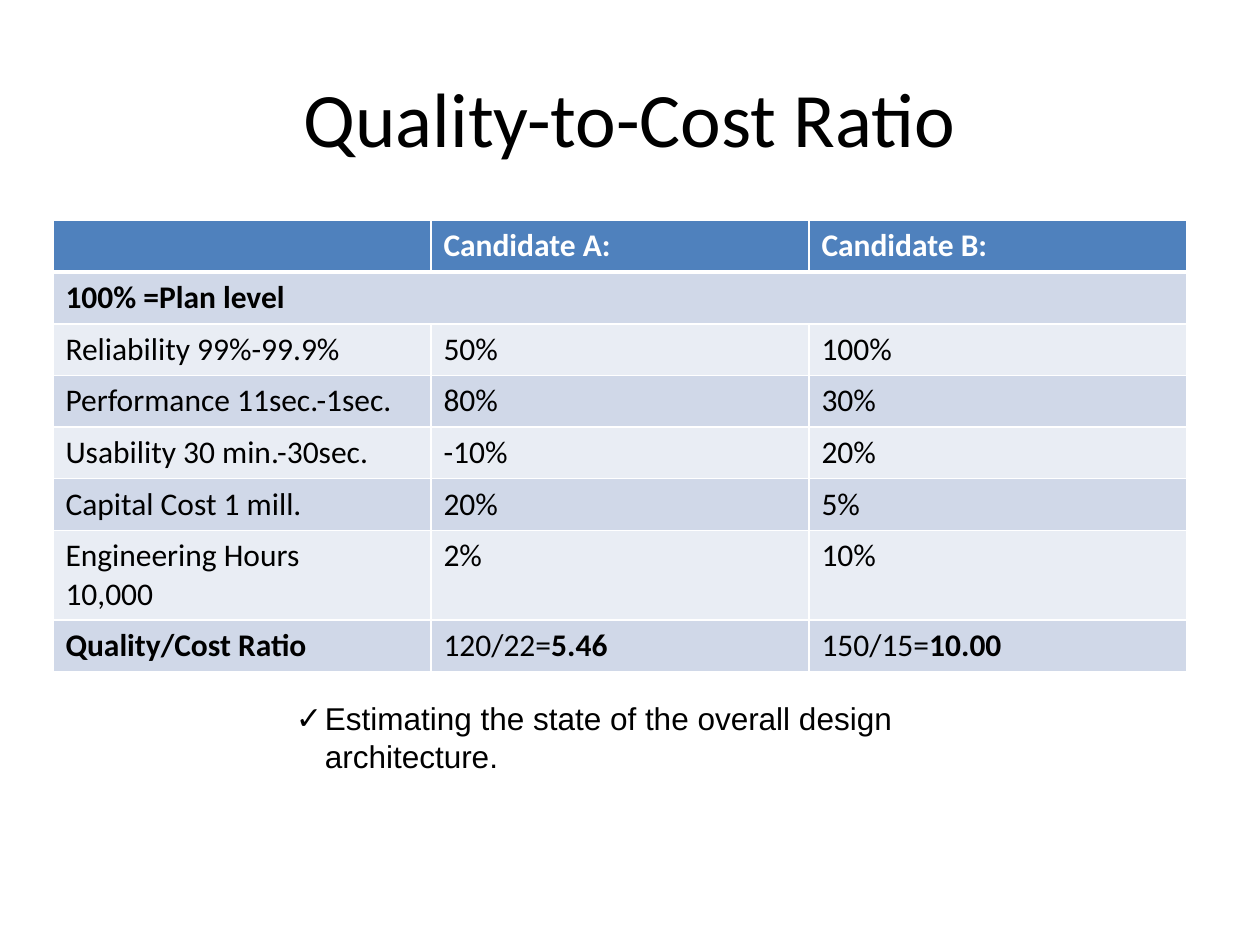
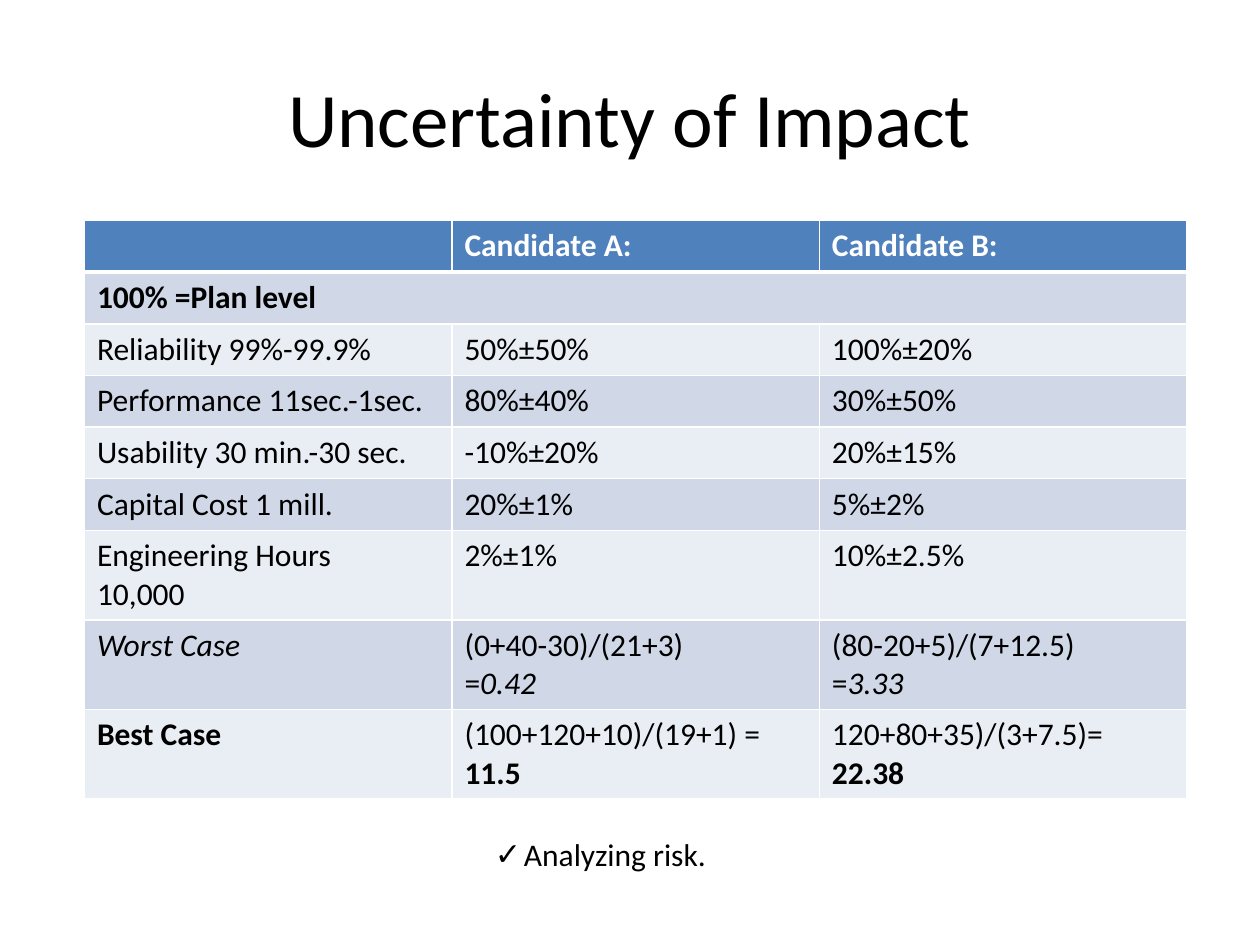
from lxml.etree import SubElement as Sub
from pptx import Presentation as Deck
from pptx.dml.color import RGBColor as RGB
from pptx.enum.text import MSO_ANCHOR as Anchor, MSO_AUTO_SIZE as Auto, PP_ALIGN as Align
from pptx.oxml.ns import qn
from pptx.util import Emu, Inches, Pt

WIDE, HIGH = Inches(10), Inches(7.5)
BLACK = RGB(0, 0, 0)
WHITE = RGB(255, 255, 255)
HEAD = RGB(0x4F, 0x81, 0xBD)
BANDS = RGB(0xE9, 0xED, 0xF4), RGB(0xD0, 0xD8, 0xE8)
FACE, PLAIN = "Calibri", "Arial"
BODY, TITLE = Pt(18), Pt(44)
ROW = Inches(0.41)
HANG = Inches(0.23)
TOP = 1.75 / 7.5
TITLE_BOX = 0.05, 0.04, 0.9, 1 / 6

HEADER = ["", "Candidate A:", "Candidate B:"]
PLAN = ["*100% =Plan level", "", ""]

RATIO = [
    HEADER,
    PLAN,
    ["Reliability 99%-99.9%", "50%", "100%"],
    ["Performance 11sec.-1sec.", "80%", "30%"],
    ["Usability 30 min.-30sec.", "-10%", "20%"],
    ["Capital Cost 1 mill.", "20%", "5%"],
    ["Engineering Hours\n10,000", "2%", "10%"],
    ["*Quality/Cost Ratio", "120/22=|*5.46", "150/15=|*10.00"],
]
RISK = [
    HEADER,
    PLAN,
    ["Reliability 99%-99.9%", "50%±50%", "100%±20%"],
    ["Performance 11sec.-1sec.", "80%±40%", "30%±50%"],
    ["Usability 30 min.-30 sec.", "-10%±20%", "20%±15%"],
    ["Capital Cost 1 mill.", "20%±1%", "5%±2%"],
    ["Engineering Hours\n10,000", "2%±1%", "10%±2.5%"],
    ["_Worst Case", "(0+40-30)/(21+3)\n=|_0.42", "(80-20+5)/(7+12.5)\n=|_3.33"],
    ["*Best Case", "(100+120+10)/(19+1) =\n*11.5", "120+80+35)/(3+7.5)=\n*22.38"],
]


def place(x, y, w, h):
    return Emu(int(x * WIDE)), Emu(int(y * HIGH)), Emu(int(w * WIDE)), Emu(int(h * HIGH))


def style(font, size=BODY, face=FACE, color=BLACK):
    font.size, font.name, font.color.rgb = size, face, color


def add_run(para, text, **look):
    run = para.add_run()
    run.text = text.lstrip("*_")
    style(run.font, **look)
    run.font.bold = text.startswith("*")
    run.font.italic = text.startswith("_")


def write(frame, text, **look):
    for row, line in enumerate(text.split("\n")):
        para = frame.add_paragraph() if row else frame.paragraphs[0]
        for part in line.split("|"):
            add_run(para, part, **look)


def add_title(slide, text):
    title = slide.shapes.title
    title.left, title.top, title.width, title.height = place(*TITLE_BOX)
    frame = title.text_frame
    frame.vertical_anchor = Anchor.MIDDLE
    frame.paragraphs[0].alignment = Align.CENTER
    write(frame, text, size=TITLE)


def edge(cell, top, base):
    props = cell._tc.get_or_add_tcPr()
    sides = {"lnL": 1, "lnR": 1, "lnT": top, "lnB": base}
    for spot, (side, width) in enumerate(sides.items()):
        line = Sub(props, qn("a:" + side), w=str(Pt(width)))
        Sub(Sub(line, qn("a:solidFill")), qn("a:srgbClr"), val=str(WHITE))
        props.insert(spot, line)


def add_grid(slide, rows, left, width):
    cols = len(HEADER)
    x, y, w, _ = place(left, TOP, width, 0)
    grid = slide.shapes.add_table(len(rows), cols, x, y, w, ROW * len(rows)).table
    for col in grid.columns:
        col.width = w // cols
    for r, texts in enumerate(rows):
        grid.rows[r].height = ROW
        for c, text in enumerate(texts):
            cell = grid.cell(r, c)
            cell.fill.solid()
            cell.fill.fore_color.rgb = BANDS[r % 2] if r else HEAD
            edge(cell, 3 if r == 1 else 1, 1 if r else 3)
            if text:
                mark = "" if r else "*"
                write(cell.text_frame, mark + text, color=BLACK if r else WHITE)
            else:
                style(cell.text_frame.paragraphs[0].font)
    grid.cell(1, 0).merge(grid.cell(1, cols - 1))


def add_check(slide, text, box, face):
    frame = slide.shapes.add_textbox(*place(*box)).text_frame
    frame.word_wrap = True
    frame.auto_size = Auto.SHAPE_TO_FIT_TEXT
    props = frame.paragraphs[0]._p.get_or_add_pPr()
    props.set("marL", str(HANG))
    props.set("indent", str(-HANG))
    Sub(props, qn("a:buFont"), typeface=PLAIN)
    Sub(props, qn("a:buChar"), char="✓")
    write(frame, text, face=face)


def add_page(deck, title, rows, left, width, note, box, face):
    slide = deck.slides.add_slide(deck.slide_layouts[5])
    add_title(slide, title)
    add_grid(slide, rows, left, width)
    add_check(slide, note, box, face)


def main():
    deck = Deck()
    deck.slide_width, deck.slide_height = WIDE, HIGH
    add_page(deck, "Quality-to-Cost Ratio", RATIO, 0.042, 0.9,
             "Estimating the state of the overall design architecture.",
             (0.225, 5.5 / 7.5, 0.5, 0.71 / 7.5), PLAIN)
    add_page(deck, "Uncertainty of Impact", RISK, 0.067, 0.875,
             "Analyzing risk.", (0.383, 6.58 / 7.5, 0.325, 0.4 / 7.5), FACE)
    deck.save("out.pptx")


if __name__ == "__main__":
    main()
